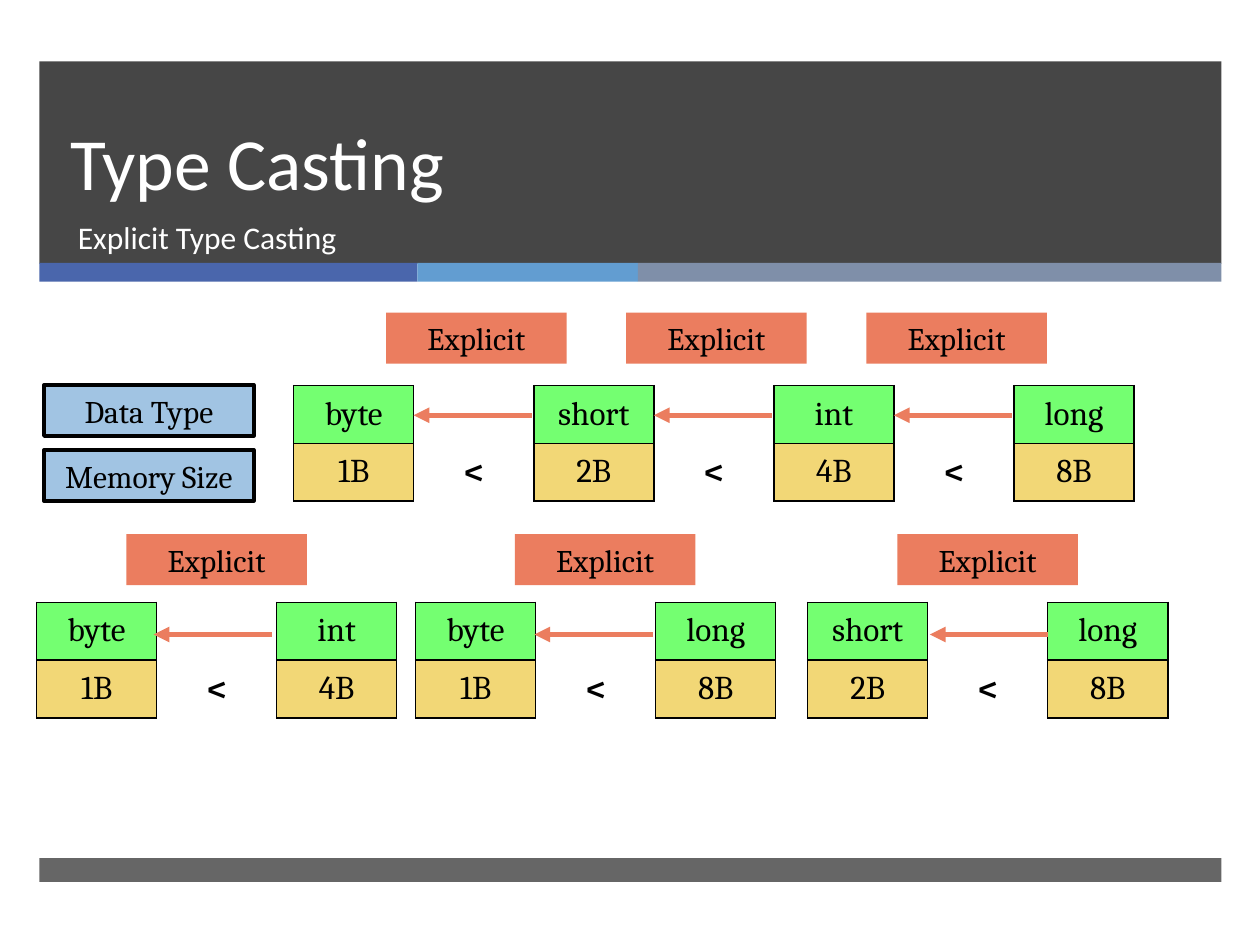
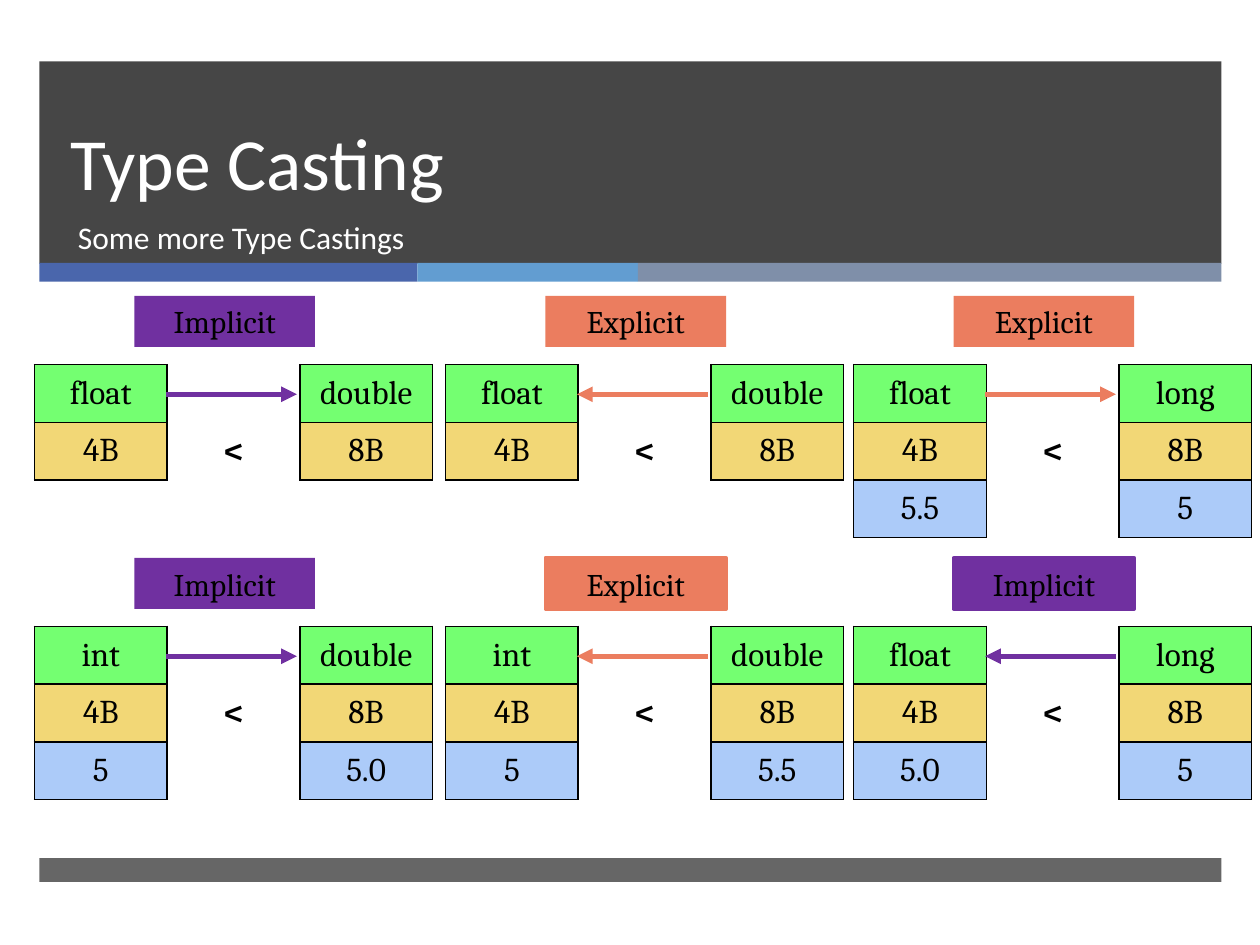
import dataclasses

import lxml.etree
import pptx
import pptx.dml.color
import pptx.enum.shapes
import pptx.enum.text
import pptx.oxml.ns
import pptx.util

Pt = pptx.util.Pt
qn = pptx.oxml.ns.qn
RECTANGLE = pptx.enum.shapes.MSO_SHAPE.RECTANGLE
CENTER = pptx.enum.text.PP_ALIGN.CENTER
MIDDLE = pptx.enum.text.MSO_ANCHOR.MIDDLE
BOTTOM = pptx.enum.text.MSO_ANCHOR.BOTTOM


@dataclasses.dataclass(frozen=True)
class Theme:
    band: str = "262626"
    stripes: tuple = (("4A66AC", 216), ("629DD1", 126), ("7F8FA9", 333.4))
    white: str = "FFFFFF"
    black: str = "000000"
    caption: str = "A1C4E3"
    rows: tuple = ("74FF71", "F2D776", "ACCBF9")
    casts: dict = dataclasses.field(
        default_factory=lambda: {"Explicit": "EB7D5F", "Implicit": "7030A0"})
    heading_font: str = "Calibri"
    body_font: str = "Cambria"
    title_size: int = 42
    text_size: int = 18
    cell_size: int = 19
    sign_size: int = 20


THEME = Theme()
BAND_LEFT = 22.5
BAND_WIDTH = 675.4
ROW_HEIGHT = 33
LABEL_WIDTH = 103.2
LABEL_HEIGHT = 29.1


def rgb(color):
    return pptx.dml.color.RGBColor.from_string(color)


def format_text(frame, font, size, color, bold=False, align=None):
    for para in frame.paragraphs:
        para.alignment = align
        for span in para.runs:
            span.font.name = font
            span.font.size = Pt(size)
            span.font.bold = bold
            span.font.color.rgb = rgb(color)


def add_box(slide, left, top, width, height, fill, text="", line=None, alpha=None):
    box = slide.shapes.add_shape(RECTANGLE, Pt(left), Pt(top), Pt(width), Pt(height))
    box.shadow.inherit = False
    box.fill.solid()
    box.fill.fore_color.rgb = rgb(fill)
    if alpha:
        color = box.fill._xPr.find(".//" + qn("a:srgbClr"))
        lxml.etree.SubElement(color, qn("a:alpha"), val=str(alpha * 1000))
    if line:
        box.line.color.rgb = rgb(line)
        box.line.width = Pt(2.25)
    else:
        box.line.fill.background()
    if text:
        box.text_frame.text = text
        box.text_frame.vertical_anchor = MIDDLE
        format_text(box.text_frame, THEME.body_font, THEME.text_size, THEME.black,
                    align=CENTER)
    return box


def add_heading(slide, text, left, top, width, height, size):
    box = slide.shapes.add_textbox(Pt(left), Pt(top), Pt(width), Pt(height))
    box.text_frame.word_wrap = True
    box.text_frame.text = text
    format_text(box.text_frame, THEME.heading_font, size, THEME.white)
    return box


def add_page(deck, subtitle):
    slide = deck.slides.add_slide(deck.slide_layouts[6])
    add_box(slide, BAND_LEFT, 35.1, BAND_WIDTH, 115.6, THEME.band, alpha=85)
    left = BAND_LEFT
    for color, width in THEME.stripes:
        add_box(slide, left, 150.2, width, 10.8, color)
        left += width
    add_box(slide, BAND_LEFT, 490.3, BAND_WIDTH, 13.7, THEME.band, alpha=70)
    title = add_heading(slide, "Type Casting", 33, 35.1, 615, 85.9, THEME.title_size)
    title.text_frame.vertical_anchor = BOTTOM
    title.text_frame.paragraphs[0].line_spacing = Pt(46)
    add_heading(slide, subtitle, 37.4, 121, 610.6, 38, THEME.text_size)
    return slide


def set_borders(cell, sides):
    properties = cell._tc.get_or_add_tcPr()
    for side in "LRTB":
        border = lxml.etree.SubElement(properties, qn("a:ln" + side), w=str(Pt(1)))
        if side in sides:
            fill = lxml.etree.SubElement(border, qn("a:solidFill"))
            lxml.etree.SubElement(fill, qn("a:srgbClr"), val=THEME.black)
        else:
            lxml.etree.SubElement(border, qn("a:noFill"))


def fill_cell(cell, text, fill):
    set_borders(cell, "LRTB" if fill else "LR")
    if fill:
        cell.fill.solid()
        cell.fill.fore_color.rgb = rgb(fill)
    else:
        cell.fill.background()
    cell.margin_top = cell.margin_bottom = 0
    cell.vertical_anchor = MIDDLE
    cell.text_frame.text = text
    size = THEME.cell_size if fill else THEME.sign_size
    format_text(cell.text_frame, THEME.body_font, size, THEME.black,
                bold=not fill, align=CENTER)


def add_type_table(slide, left, top, column_width, rows):
    column_count = 2 * len(rows[0]) - 1
    table = slide.shapes.add_table(
        len(rows), column_count, Pt(left), Pt(top),
        Pt(column_width * column_count), Pt(ROW_HEIGHT * len(rows))).table
    table.first_row = table.horz_banding = False
    for column in table.columns:
        column.width = Pt(column_width)
    for row_index, values in enumerate(rows):
        table.rows[row_index].height = Pt(ROW_HEIGHT)
        for column_index in range(column_count):
            cell = table.cell(row_index, column_index)
            if column_index % 2:
                fill_cell(cell, "<" if row_index == 1 else "", None)
            else:
                fill_cell(cell, values[column_index // 2], THEME.rows[row_index])


def add_arrow(slide, start, end, y, color):
    arrow = slide.shapes.add_connector(
        pptx.enum.shapes.MSO_CONNECTOR.STRAIGHT, Pt(start), Pt(y), Pt(end), Pt(y))
    arrow.line.color.rgb = rgb(color)
    arrow.line.width = Pt(3)
    lxml.etree.SubElement(arrow.line._get_or_add_ln(), qn("a:tailEnd"), type="triangle")
    lxml.etree.SubElement(arrow._element.spPr, qn("a:effectLst"))


def add_casting(slide, left, top, column_width, rows, kind="Explicit", to_right=False,
                label_shift=0, label_lift=39, arrow_shift=0, arrow_drop=17,
                outlined=False):
    add_type_table(slide, left, top, column_width, rows)
    color = THEME.casts[kind]
    for gap in range(len(rows[0]) - 1):
        gap_left = left + column_width * (2 * gap + 1)
        near = gap_left - 0.7 + arrow_shift
        far = near + column_width - 1
        start, end = (near, far) if to_right else (far, near)
        add_arrow(slide, start, end, top + arrow_drop, color)
        label_left = gap_left + (column_width - LABEL_WIDTH) / 2 + label_shift
        add_box(slide, label_left, top - label_lift, LABEL_WIDTH, LABEL_HEIGHT, color,
                kind, line=color if outlined else None)


def build_explicit_page(deck):
    slide = add_page(deck, "Explicit Type Casting")
    for caption, top in (("Data Type", 220), ("Memory Size", 257.1)):
        add_box(slide, 25.2, top, 119.8, LABEL_HEIGHT, THEME.caption, caption,
                line=THEME.black)
    width = 68.6
    add_casting(slide, 167.8, 220.3, width,
                (("byte", "short", "int", "long"), ("1B", "2B", "4B", "8B")),
                label_shift=1.5, label_lift=41.6, arrow_shift=0.7)
    pairs = (
        (20.9, ("byte", "int"), ("1B", "4B"), 0, -1),
        (237.5, ("byte", "long"), ("1B", "8B"), 5.4, 0),
        (461.5, ("short", "long"), ("2B", "8B"), 0, 2),
    )
    for left, names, sizes, label_shift, arrow_shift in pairs:
        add_casting(slide, left, 344.2, width, (names, sizes), label_shift=label_shift,
                    arrow_shift=arrow_shift, arrow_drop=18.4)


def build_mixed_page(deck):
    slide = add_page(deck, "Some more Type Castings")
    width = 75.8
    lefts = (19.7, 254.6, 487.8)
    upper, lower = 208.3, 358
    sizes = ("4B", "8B")
    castings = (
        (0, upper, (("float", "double"), sizes), "Implicit", True, False),
        (1, upper, (("float", "double"), sizes), "Explicit", False, False),
        (2, upper, (("float", "long"), sizes, ("5.5", "5")), "Explicit", True, False),
        (0, lower, (("int", "double"), sizes, ("5", "5.0")), "Implicit", True, False),
        (1, lower, (("int", "double"), sizes, ("5", "5.5")), "Explicit", False, True),
        (2, lower, (("float", "long"), sizes, ("5.0", "5")), "Implicit", False, True),
    )
    for column, top, rows, kind, to_right, outlined in castings:
        add_casting(slide, lefts[column], top, width, rows, kind, to_right,
                    label_shift=-5, label_lift=39.2, outlined=outlined)


def main():
    deck = pptx.Presentation()
    deck.slide_width = Pt(720)
    deck.slide_height = Pt(540)
    build_explicit_page(deck)
    build_mixed_page(deck)
    deck.save("out.pptx")


if __name__ == "__main__":
    main()
